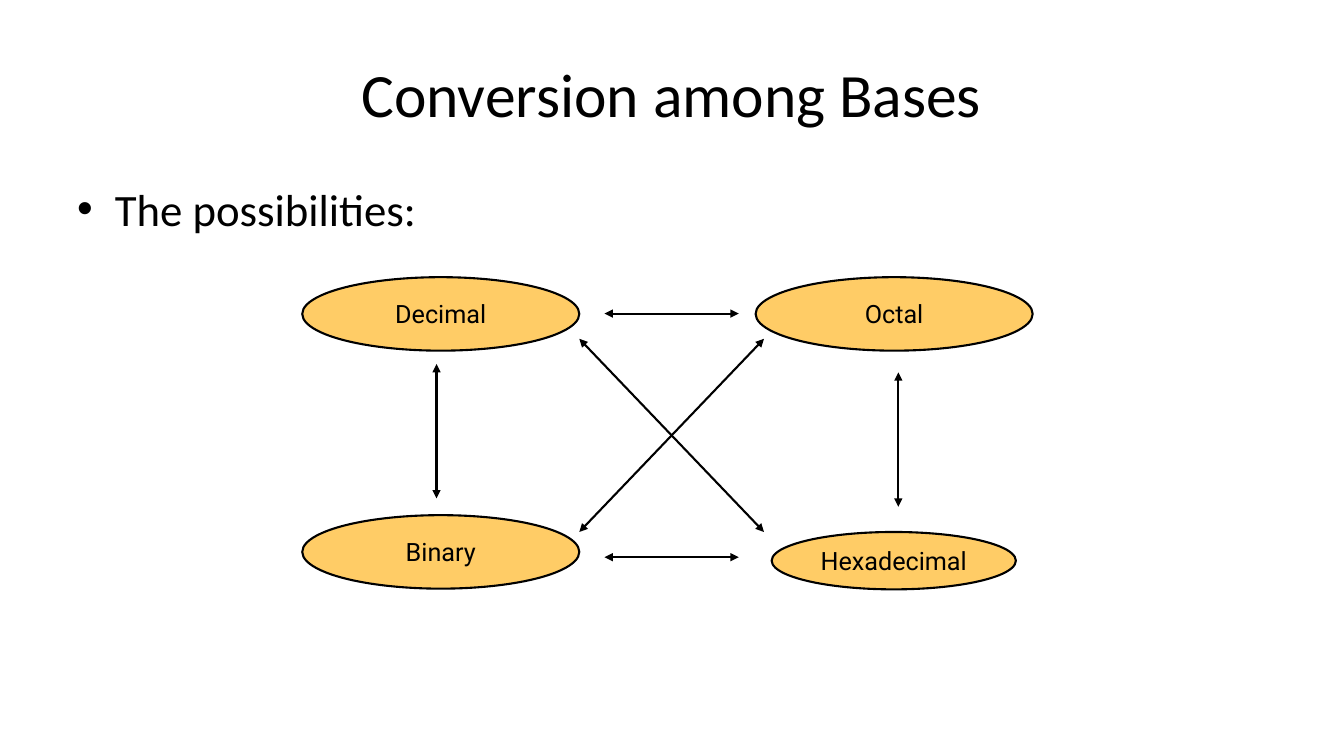
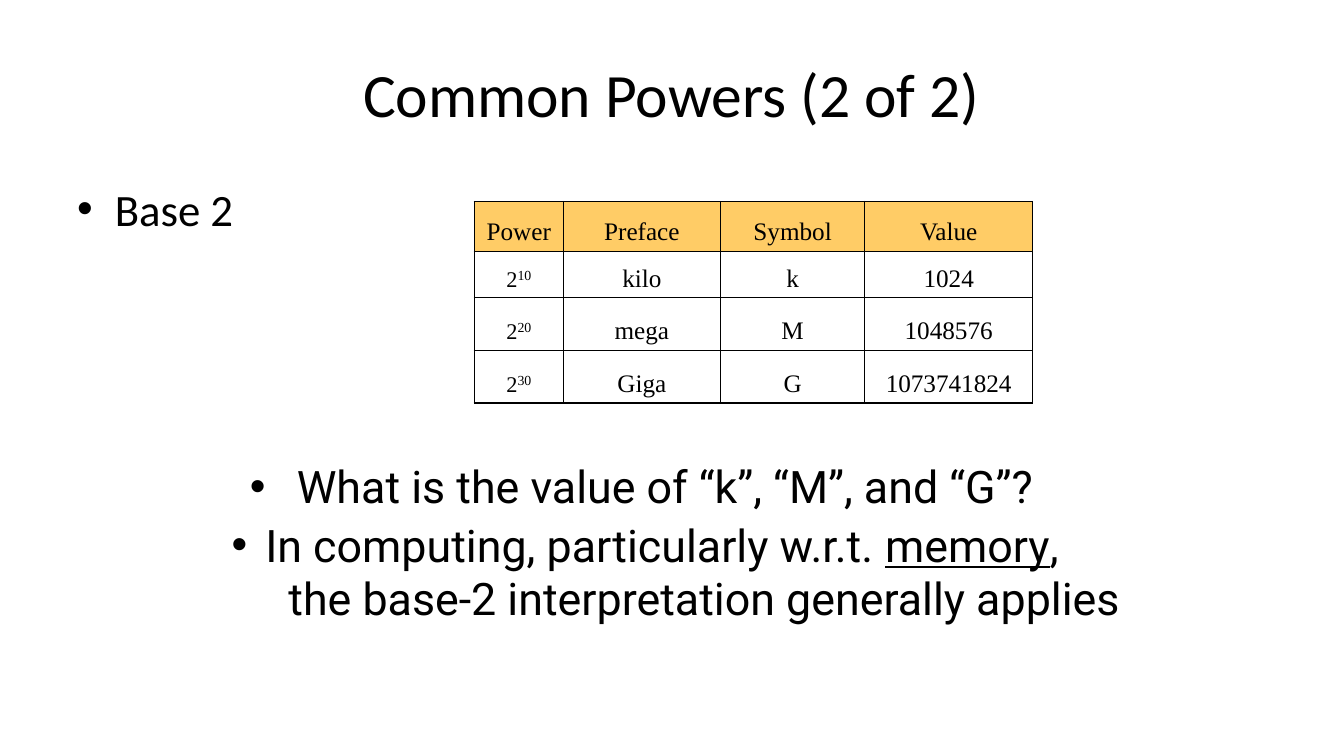
"""Build two slides on number bases and common powers of two."""
from lxml import etree
from pptx import Presentation
from pptx.dml.color import RGBColor
from pptx.enum import shapes, text
from pptx.oxml import ns
from pptx.util import Pt

BLACK = RGBColor(0x00, 0x00, 0x00)
AMBER = RGBColor(0xFF, 0xCC, 0x66)
HEADING_FONT = "Calibri"
BODY_FONT = "Roboto"
TABLE_FONT = "Times New Roman"
OUTER, INNER = 1.08, 0.45
ROW_HEIGHTS = (35.5, 33, 37.5, 38)
TABLE_TOP = 144


def add_child(parent, tag, **attrs):
    return etree.SubElement(parent, ns.qn(tag), attrs)


def set_font(font, size, name):
    font.size = Pt(size)
    font.name = name
    font.color.rgb = BLACK


def add_textbox(s, x, y, w, h):
    tf = s.shapes.add_textbox(Pt(x), Pt(y), Pt(w), Pt(h)).text_frame
    tf.word_wrap = True
    return tf


def set_indent(p, margin, hanging=0):
    pPr = p._p.get_or_add_pPr()
    pPr.set("marL", str(Pt(margin)))
    pPr.set("indent", str(-Pt(hanging)))
    return pPr


def set_bullet(p, indent):
    pPr = set_indent(p, indent, indent)
    add_child(pPr, "a:buFont", typeface="Arial")
    add_child(pPr, "a:buChar", char="•")


def add_titled_slide(prs, title, bullet):
    s = prs.slides.add_slide(prs.slide_layouts[6])
    tf = add_textbox(s, 48, 21.6, 864, 90)
    tf.vertical_anchor = text.MSO_ANCHOR.MIDDLE
    p = tf.paragraphs[0]
    p.text = title
    p.alignment = text.PP_ALIGN.CENTER
    set_font(p.font, 44, HEADING_FONT)
    p = add_textbox(s, 48, 126, 864, 356.4).paragraphs[0]
    p.text = bullet
    set_bullet(p, 27)
    set_font(p.font, 32, HEADING_FONT)
    return s


def add_ellipse(s, label, x, y, w=198, h=52.5):
    sp = s.shapes.add_shape(shapes.MSO_SHAPE.OVAL, Pt(x), Pt(y), Pt(w), Pt(h))
    sp.shadow.inherit = False
    sp.fill.solid()
    sp.fill.fore_color.rgb = AMBER
    sp.line.color.rgb = BLACK
    sp.line.width = Pt(1.5)
    tf = sp.text_frame
    tf.word_wrap = False
    tf.vertical_anchor = text.MSO_ANCHOR.MIDDLE
    p = tf.paragraphs[0]
    p.text = label
    p.alignment = text.PP_ALIGN.CENTER
    set_font(p.font, 18, BODY_FONT)


def add_double_arrow(s, x1, y1, x2, y2):
    line = s.shapes.add_connector(shapes.MSO_CONNECTOR.STRAIGHT, Pt(x1), Pt(y1), Pt(x2), Pt(y2))
    line.line.color.rgb = BLACK
    line.line.width = Pt(1.5)
    ln = line.line._get_or_add_ln()
    add_child(ln, "a:headEnd", type="triangle")
    add_child(ln, "a:tailEnd", type="triangle")
    add_child(line._element.spPr, "a:effectLst")


def set_borders(cell, widths):
    tcPr = cell._tc.get_or_add_tcPr()
    for i, (side, width) in enumerate(widths.items()):
        ln = etree.Element(ns.qn(f"a:ln{side}"), w=str(Pt(width)))
        fill = add_child(ln, "a:solidFill")
        add_child(fill, "a:srgbClr", val=str(BLACK))
        tcPr.insert(i, ln)


def fill_cell(cell, value, is_header):
    cell.vertical_anchor = text.MSO_ANCHOR.BOTTOM
    if is_header:
        cell.fill.solid()
        cell.fill.fore_color.rgb = AMBER
    else:
        cell.fill.background()
    p = cell.text_frame.paragraphs[0]
    p.alignment = text.PP_ALIGN.CENTER
    base, _, exponent = value.partition("^")
    p.add_run().text = base
    set_font(p.font, 16 if exponent else 18, TABLE_FONT)
    if exponent:
        r = p.add_run()
        r.text = exponent
        r.font.size = Pt(17)
        r._r.get_or_add_rPr().set("baseline", "30000")


def add_grid(s, x, col_widths, rows):
    last_row, last_col = len(rows) - 1, len(col_widths) - 1
    table = s.shapes.add_table(len(rows), len(col_widths), Pt(x), Pt(TABLE_TOP),
                               Pt(sum(col_widths)), Pt(sum(ROW_HEIGHTS))).table
    table.first_row = table.horz_banding = False
    for column, width in zip(table.columns, col_widths):
        column.width = Pt(width)
    for i, values in enumerate(rows):
        table.rows[i].height = Pt(ROW_HEIGHTS[i])
        for j, value in enumerate(values):
            cell = table.cell(i, j)
            fill_cell(cell, value, i == 0)
            edges = {"L": j == 0, "R": j == last_col, "T": i == 0, "B": i == last_row}
            set_borders(cell, {k: OUTER if edge else INNER for k, edge in edges.items()})


def build_conversion(prs):
    s = add_titled_slide(prs, "Conversion among Bases", "The possibilities:")
    add_ellipse(s, "Hexadecimal", 551.5, 380, 174.5, 41)
    add_ellipse(s, "Decimal", 216, 198)
    add_ellipse(s, "Octal", 540, 198)
    add_ellipse(s, "Binary", 216, 368)
    for ends in ((414, 380, 546, 242), (546, 380, 414, 242),
                 (642, 362, 642, 266), (312, 356, 312, 260),
                 (432, 224, 528, 224), (432, 398, 528, 398)):
        add_double_arrow(s, *ends)


def build_powers(prs):
    s = add_titled_slide(prs, "Common Powers (2 of 2)", "Base 2")
    add_grid(s, 339, (63.5, 112.5, 103), (
        ("Power", "Preface", "Symbol"),
        ("2^10", "kilo", "k"),
        ("2^20", "mega", "M"),
        ("2^30", "Giga", "G")))
    add_grid(s, 618, (120,), (("Value",), ("1024",), ("1048576",), ("1073741824",)))

    p = add_textbox(s, 171.5, 324, 600, 46).paragraphs[0]
    p.text = "What is the value of “k”, “M”, and “G”?"
    set_bullet(p, 33.5)
    set_font(p.font, 32, BODY_FONT)

    tf = add_textbox(s, 158.5, 366, 679, 84)
    p = tf.paragraphs[0]
    for part in ("In computing, particularly w.r.t. ", "memory", ","):
        r = p.add_run()
        r.text = part
        if part == "memory":
            r.font.underline = True
    set_bullet(p, 24)
    set_font(p.font, 32, BODY_FONT)
    p = tf.add_paragraph()
    p.text = "the base-2 interpretation generally applies"
    set_indent(p, 40.5)
    set_font(p.font, 32, BODY_FONT)


def main():
    prs = Presentation()
    prs.slide_width, prs.slide_height = Pt(960.48), Pt(540)
    build_conversion(prs)
    build_powers(prs)
    prs.save("out.pptx")


if __name__ == "__main__":
    main()
